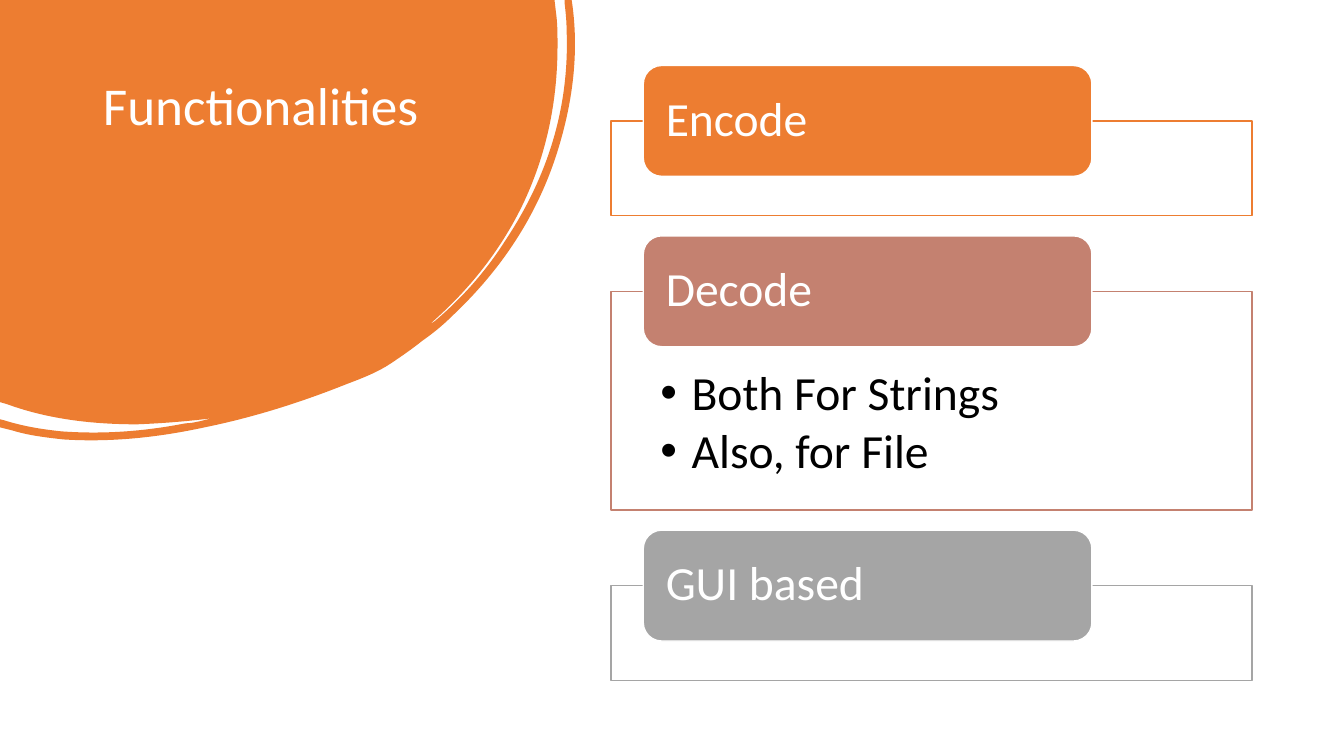
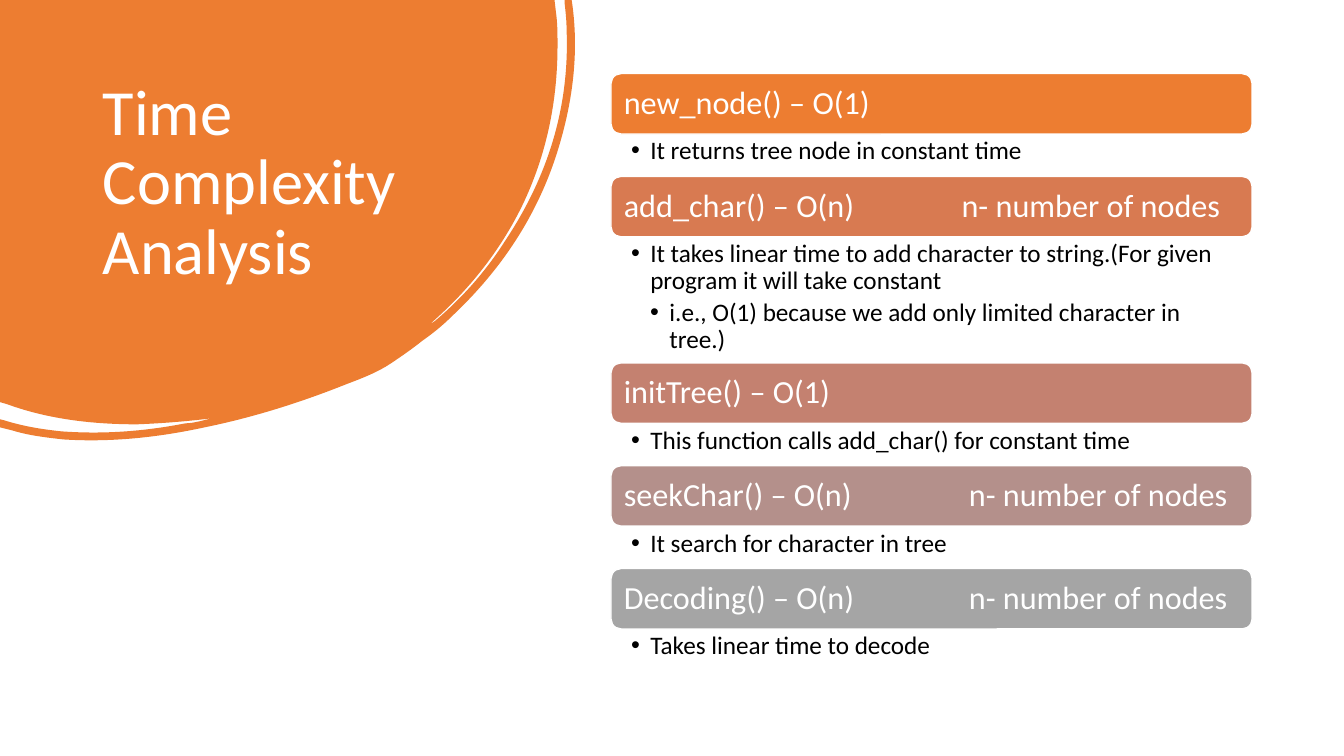
import lxml.etree
import pptx
import pptx.dml.color
import pptx.enum.shapes
import pptx.enum.text
import pptx.oxml.ns
import pptx.util
from dataclasses import dataclass

PX = 9144  # EMU per px, 100 px to the inch
SHAPE = pptx.enum.shapes.MSO_SHAPE
ANCHOR = pptx.enum.text.MSO_ANCHOR
ALIGN = pptx.enum.text.PP_ALIGN


@dataclass(frozen=True)
class Theme:
    font: str = "Calibri"
    accent: str = "ED7D31"
    clay: str = "D87A51"
    rose: str = "C48170"
    mauve: str = "B4908B"
    gray: str = "A5A5A5"
    white: str = "FFFFFF"
    black: str = "000000"
    frame_opacity: int = 90
    frame_text: int = 34
    bar_text: int = 23
    bullet_text: int = 18
    line: int = 1
    line_spacing: float = 0.9


THEME = Theme()
SLIDE_SIZE = (1333, 750)
TITLE_BOX = (92, 74, 352, 222)

# Two numbers are a line to a point, six are a Bezier curve.
BLOB_SIZE = (571, 437)
BLOB = [
    (0, 0), (550, 0), (552, 17),
    (553, 26, 553, 36, 553, 45), (553, 101, 542, 154, 518, 204),
    (496, 249, 465, 288, 427, 321), (429, 321, 430, 319, 432, 318),
    (459, 295, 482, 269, 501, 239), (543, 176, 565, 107, 562, 30),
    (562, 21, 561, 12, 560, 3), (560, 0), (567, 0), (568, 7),
    (574, 54, 568, 102, 553, 150), (533, 214, 497, 268, 448, 314),
    (439, 323, 429, 331, 419, 338), (409, 346, 399, 353, 387, 361),
    (375, 369, 360, 375, 344, 381), (299, 399, 252, 414, 203, 424),
    (157, 434, 110, 439, 63, 436), (45, 434, 28, 432, 12, 427),
    (0, 424), (0, 416), (4, 417),
    (23, 423, 42, 426, 61, 428), (103, 431, 143, 428, 184, 420),
    (189, 420, 193, 419, 198, 418), (202, 417, 206, 416, 210, 415),
    (186, 418, 161, 420, 136, 421), (92, 421, 48, 416, 7, 401),
    (0, 399),
]

# heading, colour, frame height, bullets
FUNCTIONS = [
    ("Encode", THEME.accent, 94, []),
    ("Decode", THEME.rose, 217, [(1, "Both For Strings"), (1, "Also, for File")]),
    ("GUI based", THEME.gray, 94, []),
]
# heading, colour, text height, bullets
COMPLEXITIES = [
    ("new_node() – O(1)", THEME.accent, 42,
     [(1, "It returns tree node in constant time")]),
    ("add_char() – O(n)\tn- number of nodes", THEME.clay, 125,
     [(1, "It takes linear time to add character to string.(For given "
          "program it will take constant"),
      (2, "i.e., O(1) because we add only limited character in tree.)")]),
    ("initTree() – O(1)", THEME.rose, 42,
     [(1, "This function calls add_char() for constant time")]),
    ("seekChar() – O(n)\t n- number of nodes", THEME.mauve, 42,
     [(1, "It search for character in tree")]),
    ("Decoding() – O(n)\t n- number of nodes", THEME.gray, 42,
     [(1, "Takes linear time to decode")]),
]
COLUMN_LEFT, COLUMN_WIDTH = 606, 636
FRAME = dict(top=65, gap=20, tab_left=638, tab_width=445, tab_height=110,
             tab_insets=(17, 0, 17, 0), text_insets=(49, 77, 49, 26),
             indent=31, after=5)
BAR = dict(top=73, height=60, insets=(10, 10, 10, 10), tab_stop=335,
           text_insets=(20, 4, 18, 3), indent=19, after=3)


def rgb(color):
    return pptx.dml.color.RGBColor.from_string(color)


def set_all(target, **values):
    for name, value in values.items():
        setattr(target, name, value)


def add_property(parent, tag, **attributes):
    child = lxml.etree.SubElement(parent, pptx.oxml.ns.qn(tag))
    for name, value in attributes.items():
        child.set(name, str(value))
    return child


def place(shape, box):
    for name, value in zip(("left", "top", "width", "height"), box):
        setattr(shape, name, value * PX)


def paint(shape, fill, line=None):
    shape.shadow.inherit = False
    shape.fill.solid()
    shape.fill.fore_color.rgb = rgb(fill)
    if line:
        shape.line.color.rgb = rgb(line)
        shape.line.width = pptx.util.Pt(THEME.line)
    else:
        shape.line.fill.background()


def set_opacity(shape, percent):
    color = next(shape._element.spPr.iter(pptx.oxml.ns.qn("a:srgbClr")))
    add_property(color, "a:alpha", val=percent * 1000)


def add_box(slide, kind, box, fill, line):
    shape = slide.shapes.add_shape(kind, *(value * PX for value in box))
    paint(shape, fill, line)
    return shape


def set_frame(shape, insets, anchor):
    left, top, right, bottom = (value * PX for value in insets)
    set_all(shape.text_frame, word_wrap=True, vertical_anchor=anchor,
            auto_size=pptx.enum.text.MSO_AUTO_SIZE.NONE,
            margin_left=left, margin_top=top, margin_right=right, margin_bottom=bottom)


def write(para, text, size, color, after=0):
    set_all(para, alignment=ALIGN.LEFT, line_spacing=THEME.line_spacing,
            space_before=pptx.util.Pt(0), space_after=pptx.util.Pt(after))
    span = para.add_run()
    span.text = text
    set_all(span.font, name=THEME.font, size=pptx.util.Pt(size))
    span.font.color.rgb = rgb(color)


def write_heading(shape, text, size, insets, tab_stop=None):
    set_frame(shape, insets, ANCHOR.MIDDLE)
    para = shape.text_frame.paragraphs[0]
    write(para, text, size, THEME.white)
    if "\t" in text:
        stops = add_property(para._p.get_or_add_pPr(), "a:tabLst")
        add_property(stops, "a:tab", pos=tab_stop * PX, algn="l")


def write_bullets(shape, bullets, size, style):
    set_frame(shape, style["text_insets"], ANCHOR.TOP)
    frame = shape.text_frame
    for index, (level, text) in enumerate(bullets):
        para = frame.add_paragraph() if index else frame.paragraphs[0]
        para.level = level
        write(para, text, size, THEME.black, style["after"])
        properties = para._p.get_or_add_pPr()
        properties.set("marL", str(level * style["indent"] * PX))
        properties.set("indent", str(-style["indent"] * PX))
        add_property(properties, "a:buFont", typeface="Arial")
        add_property(properties, "a:buChar", char="•")


def add_blob(slide):
    """Draw the outline through its end points, then bend the curved segments."""
    first, *segments = BLOB
    builder = slide.shapes.build_freeform(*first, scale=PX)
    builder.add_line_segments([segment[-2:] for segment in segments], close=True)
    blob = builder.convert_to_shape()
    paint(blob, THEME.accent)
    outline = next(blob._element.iter(pptx.oxml.ns.qn("a:path")))
    lines = outline.findall(pptx.oxml.ns.qn("a:lnTo"))
    for line, segment in zip(lines, segments):
        if len(segment) == 6:
            curve = add_property(outline, "a:cubicBezTo")
            for x, y in zip(segment[::2], segment[1::2]):
                add_property(curve, "a:pt", x=x, y=y)
            outline.replace(line, curve)
    for name, value in zip("wh", BLOB_SIZE):
        outline.set(name, str(value))
    place(blob, (0, 0, *BLOB_SIZE))
    return blob


def add_titled_slide(deck, title, size):
    slide = deck.slides.add_slide(deck.slide_layouts[5])
    blob = add_blob(slide)
    slide.shapes._spTree.insert(2, blob._element)  # behind the title

    heading = slide.shapes.title
    place(heading, TITLE_BOX)
    set_frame(heading, (10, 5, 10, 5), ANCHOR.TOP)
    write(heading.text_frame.paragraphs[0], title, size, THEME.white)
    return slide


def add_framed_list(slide, rows):
    top = FRAME["top"]
    for text, color, height, bullets in rows:
        frame_top = top + FRAME["tab_height"] // 2
        frame = add_box(slide, SHAPE.RECTANGLE,
                        (COLUMN_LEFT, frame_top, COLUMN_WIDTH, height), THEME.white, color)
        set_opacity(frame, THEME.frame_opacity)
        if bullets:
            write_bullets(frame, bullets, THEME.frame_text, FRAME)
        tab = add_box(slide, SHAPE.ROUNDED_RECTANGLE,
                      (FRAME["tab_left"], top, FRAME["tab_width"], FRAME["tab_height"]),
                      color, THEME.white)
        write_heading(tab, text, THEME.frame_text, FRAME["tab_insets"])
        top = frame_top + height + FRAME["gap"]


def add_bar_list(slide, rows):
    top = BAR["top"]
    for text, color, height, bullets in rows:
        bar = add_box(slide, SHAPE.ROUNDED_RECTANGLE,
                      (COLUMN_LEFT, top, COLUMN_WIDTH, BAR["height"]), color, THEME.white)
        write_heading(bar, text, THEME.bar_text, BAR["insets"], BAR["tab_stop"])
        top += BAR["height"]
        box = (COLUMN_LEFT, top, COLUMN_WIDTH, height)
        details = slide.shapes.add_textbox(*(value * PX for value in box))
        write_bullets(details, bullets, THEME.bullet_text, BAR)
        top += height


def main():
    deck = pptx.Presentation()
    deck.slide_width, deck.slide_height = (value * PX for value in SLIDE_SIZE)
    add_framed_list(add_titled_slide(deck, "Functionalities", 38), FUNCTIONS)
    add_bar_list(add_titled_slide(deck, "Time Complexity Analysis", 46), COMPLEXITIES)
    deck.save("out.pptx")


if __name__ == "__main__":
    main()
